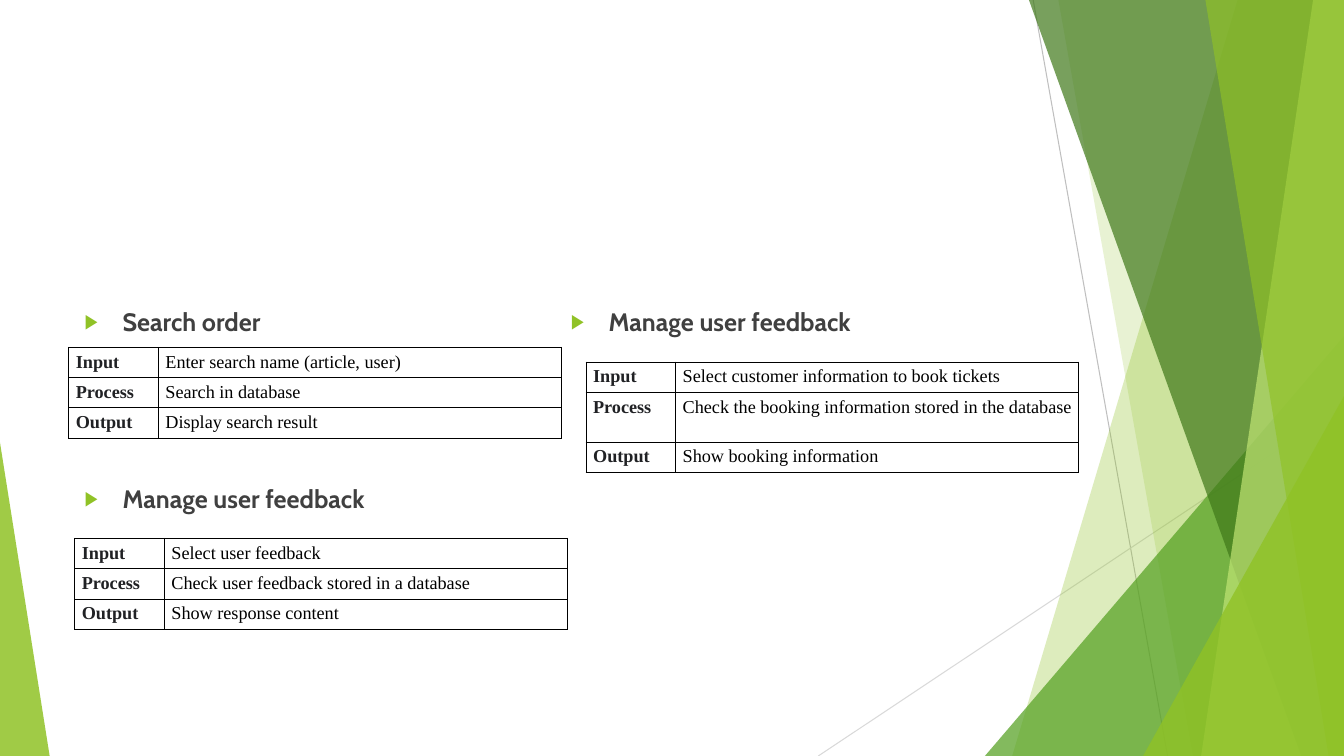
from lxml.etree import SubElement
from pptx import Presentation
from pptx.dml.color import RGBColor
from pptx.enum.shapes import MSO_CONNECTOR as CONNECTOR, MSO_SHAPE as SHAPE
from pptx.enum.text import MSO_AUTO_SIZE as AUTO_SIZE, MSO_VERTICAL_ANCHOR as ANCHOR
from pptx.oxml.ns import qn
from pptx.util import Pt

COLORS = {
    "lime": "90C226",
    "green": "54A021",
    "forest": "3F7819",
    "pale": "C0E474",
    "gray": "BFBFBF",
    "light_gray": "D9D9D9",
    "heading": "404040",
    "label": "202124",
    "black": "000000",
    "white": "FFFFFF",
}
WIDTH, HEIGHT = 960, 540
LABELS = ("Input", "Process", "Output")
ROW, TALL_ROW = 21.65, 35.7


def rgb(name):
    """Return the named colour."""
    return RGBColor.from_string(COLORS[name])


def paint(facet, color, opacity):
    """Give a facet a translucent fill without line or shadow."""
    facet.shadow.inherit = False
    facet.line.fill.background()
    facet.fill.solid()
    facet.fill.fore_color.rgb = rgb(color)
    tint = facet.fill._xPr.find(qn("a:solidFill"))[0]
    SubElement(tint, qn("a:alpha"), val=str(opacity * 1000))


def add_ray(slide, start, end, color):
    """Draw a thin background line."""
    ray = slide.shapes.add_connector(
        CONNECTOR.STRAIGHT, *(Pt(value) for value in start + end))
    ray.line.color.rgb = rgb(color)
    ray.line.width = Pt(0.75)
    SubElement(ray._element.spPr, qn("a:effectLst"))


def add_band(slide, top_x, bottom_x, color, opacity):
    """Draw a full-height band from a slanted edge to the right slide edge."""
    builder = slide.shapes.build_freeform(Pt(top_x), 0)
    corners = ((WIDTH, 0), (WIDTH, HEIGHT), (bottom_x, HEIGHT))
    builder.add_line_segments([(Pt(x), Pt(y)) for x, y in corners], close=True)
    paint(builder.convert_to_shape(), color, opacity)


def add_corner(slide, left, top, width, apex, color, opacity):
    """Draw a triangle standing on the bottom slide edge."""
    corner = slide.shapes.add_shape(
        SHAPE.ISOSCELES_TRIANGLE, Pt(left), Pt(top), Pt(width), Pt(HEIGHT - top))
    corner.adjustments[0] = apex
    paint(corner, color, opacity)


def add_backdrop(slide):
    """Draw the green facets along the slide edges."""
    add_ray(slide, (738, 0), (834, HEIGHT), "gray")
    add_ray(slide, (WIDTH, 290), (584.5, HEIGHT), "light_gray")
    add_band(slide, 884, 723, "lime", 30)
    add_band(slide, 756, 852, "lime", 20)
    add_corner(slide, 703.5, 240, 256.5, 1, "green", 72)
    add_band(slide, 735, 929.5, "forest", 70)
    add_band(slide, 938, 858, "pale", 70)
    add_band(slide, 861, 949, "lime", 65)
    add_corner(slide, 816.5, 283, 143.5, 1, "lime", 80)
    add_corner(slide, 0, 316, 35.5, 0, "lime", 85)


def add_text(paragraph, text, font, size, color, bold):
    """Add one formatted run."""
    run = paragraph.add_run()
    run.text = text
    run.font.name = font
    run.font.size = Pt(size)
    run.font.color.rgb = rgb(color)
    run.font.bold = bold


def add_bullet(paragraph):
    """Give a paragraph a hanging green arrow bullet."""
    props = paragraph._p.get_or_add_pPr()
    props.set("marL", str(Pt(27)))
    props.set("indent", str(Pt(-27)))
    SubElement(SubElement(props, qn("a:buClr")), qn("a:srgbClr"), val=COLORS["lime"])
    SubElement(props, qn("a:buSzPct"), val="80000")
    SubElement(props, qn("a:buFont"), typeface="Arial")
    SubElement(props, qn("a:buChar"), char="▶")


def fill_headings(column, left, headings):
    """Place a column of bulleted headings given as text and space before."""
    column.left, column.top = Pt(left), Pt(215.3)
    column.width, column.height = Pt(330), Pt(260)
    frame = column.text_frame
    frame.word_wrap = True
    frame.auto_size = AUTO_SIZE.NONE
    frame.vertical_anchor = ANCHOR.TOP
    for index, (text, space) in enumerate(headings):
        paragraph = frame.add_paragraph() if index else frame.paragraphs[0]
        paragraph.space_before = Pt(space)
        add_bullet(paragraph)
        add_text(paragraph, text, "Cabin", 18, "heading", True)


def fill_cell(cell, text, color, bold):
    """Write a bordered white cell."""
    cell.margin_left = cell.margin_right = Pt(5.2)
    cell.margin_top = cell.margin_bottom = Pt(3.4)
    add_text(cell.text_frame.paragraphs[0], text, "Times New Roman", 13, color, bold)
    props = cell._tc.get_or_add_tcPr()
    for side in ("a:lnL", "a:lnR", "a:lnT", "a:lnB"):
        border = SubElement(props, qn(side), w=str(Pt(0.5)))
        SubElement(SubElement(border, qn("a:solidFill")), qn("a:srgbClr"),
                   val=COLORS["black"])
    cell.fill.solid()
    cell.fill.fore_color.rgb = rgb("white")


def add_steps(slide, left, top, steps, heights=(ROW, ROW, ROW)):
    """Add an input, process and output table."""
    table = slide.shapes.add_table(
        len(LABELS), 2, Pt(left), Pt(top), Pt(352), Pt(sum(heights))).table
    table.first_row = table.horz_banding = False
    for column, width in zip(table.columns, (64, 288)):
        column.width = Pt(width)
    for index, (label, step, height) in enumerate(zip(LABELS, steps, heights)):
        table.rows[index].height = Pt(height)
        fill_cell(table.cell(index, 0), label, "label", True)
        fill_cell(table.cell(index, 1), step, "black", False)


def main():
    """Build the slide and save it."""
    deck = Presentation()
    deck.slide_width, deck.slide_height = Pt(WIDTH), Pt(HEIGHT)
    slide = deck.slides.add_slide(deck.slide_layouts.get_by_name("Two Content"))
    title, left_column, right_column = slide.placeholders
    title._element.getparent().remove(title._element)

    add_backdrop(slide)
    fill_headings(left_column, 53.3, (("Search order", 10), ("Manage user feedback", 104.5)))
    fill_headings(right_column, 400.5, (("Manage user feedback", 10),))

    add_steps(slide, 49, 248, (
        "Enter search name (article, user)",
        "Search in database",
        "Display search result"))
    add_steps(slide, 53.3, 384.5, (
        "Select user feedback",
        "Check user feedback stored in a database",
        "Show response content"))
    add_steps(slide, 418.5, 258.5, (
        "Select customer information to book tickets",
        "Check the booking information stored in the database",
        "Show booking information"), (ROW, TALL_ROW, ROW))
    deck.save("out.pptx")


if __name__ == "__main__":
    main()
